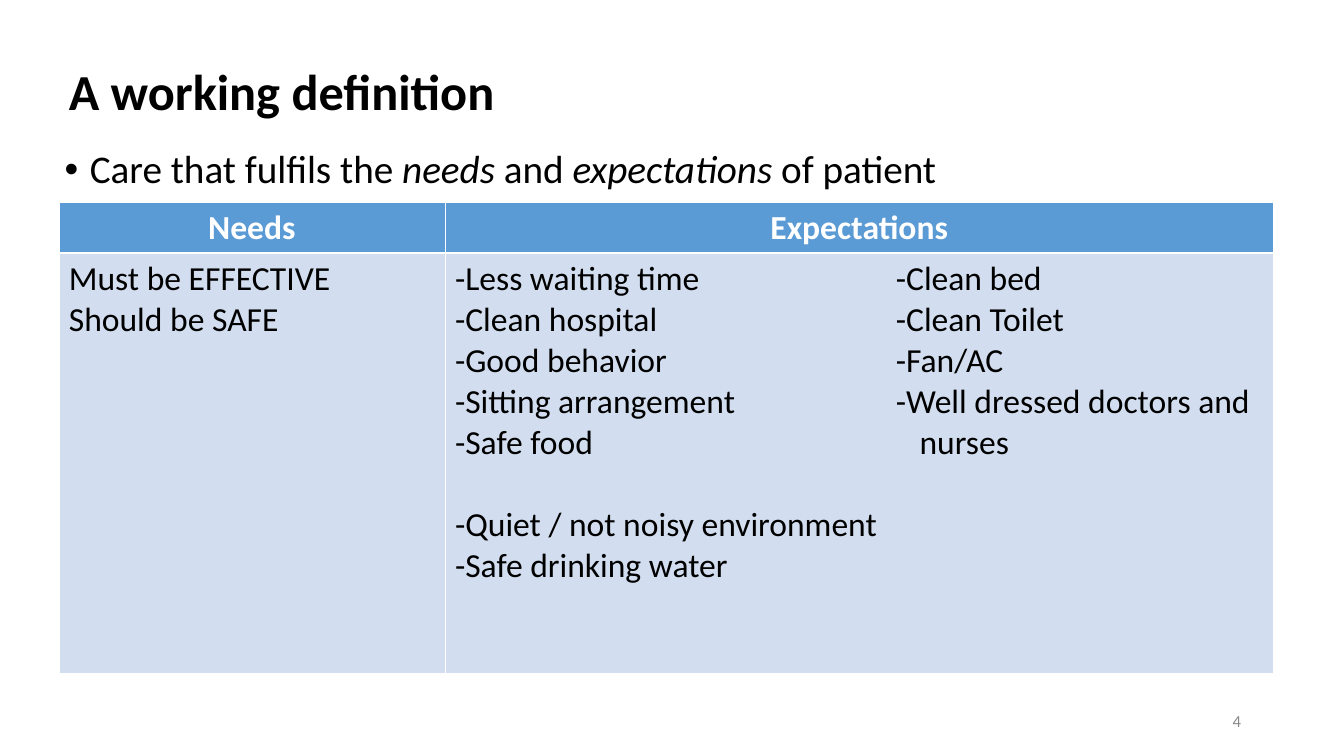
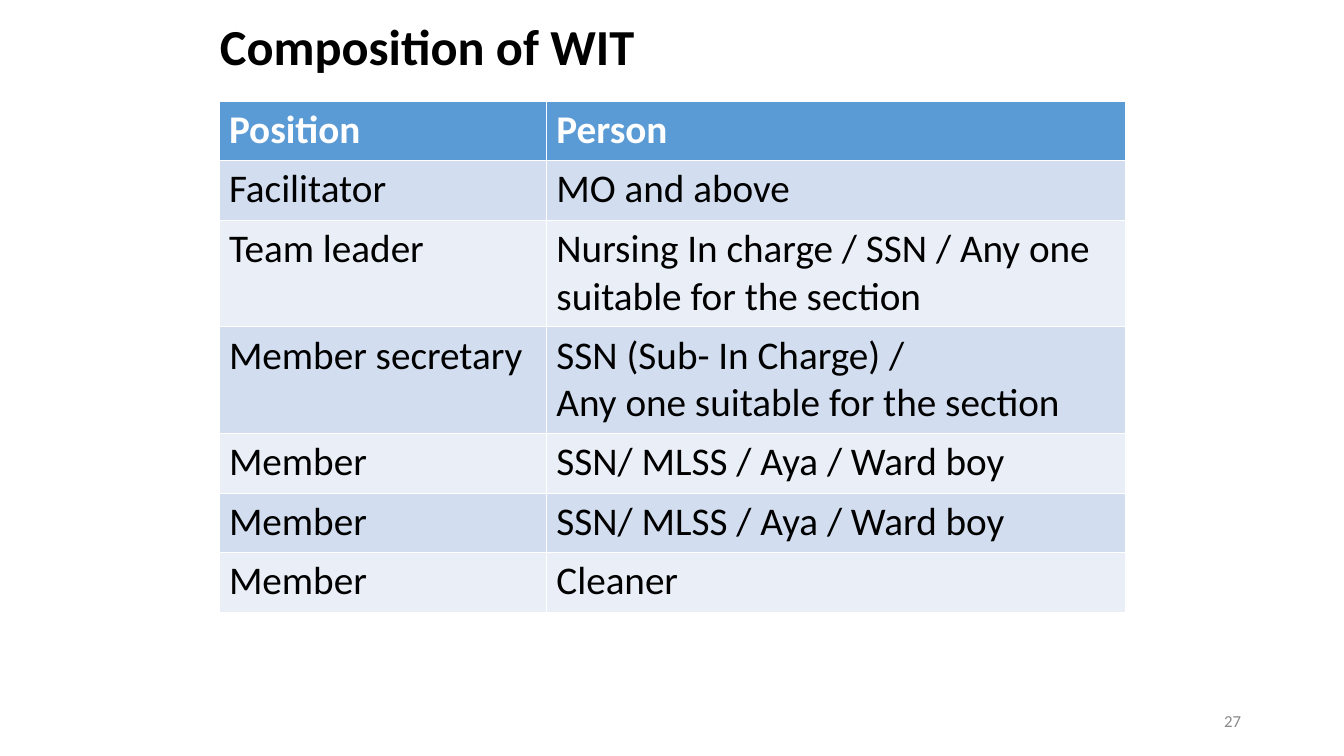
from dataclasses import dataclass

import lxml.etree
import pptx
import pptx.dml.color
import pptx.enum.text
import pptx.oxml.ns
import pptx.presentation
import pptx.shapes.base
import pptx.slide
import pptx.table
import pptx.text.text
import pptx.util

Pt = pptx.util.Pt
RGBColor = pptx.dml.color.RGBColor
Align = pptx.enum.text.PP_ALIGN
Anchor = pptx.enum.text.MSO_ANCHOR

# Shared look
BLACK = RGBColor(0x00, 0x00, 0x00)
WHITE = RGBColor(0xFF, 0xFF, 0xFF)
GREY = RGBColor(0x89, 0x89, 0x89)
HEADER_BLUE = RGBColor(0x5B, 0x9B, 0xD5)
BAND_FILLS = (RGBColor(0xD2, 0xDE, 0xEF), RGBColor(0xEA, 0xEF, 0xF7))
FONT = "Calibri"
THIN, THICK = 0.45, 1.47
BODY_LAYOUT, TITLE_ONLY_LAYOUT = 1, 5


@dataclass(frozen=True)
class Box:
    left: float
    top: float
    width: float
    height: float


@dataclass(frozen=True)
class Line:
    """One paragraph of a cell; a tab in the text jumps to the tab stop."""
    text: str
    tab_stop: float = 0
    space_before: float = 0


@dataclass(frozen=True)
class TableDesign:
    left: float
    top: float
    column_widths: tuple[float, ...]
    row_heights: tuple[float, ...]
    font_size: float
    header_alignment: Align


def add_run(paragraph: pptx.text.text._Paragraph, text: str, size: float,
            color: RGBColor = BLACK, bold: bool = False, italic: bool = False) -> None:
    run = paragraph.add_run()
    run.text = text
    run.font.name = FONT
    run.font.size = Pt(size)
    run.font.bold = bold
    run.font.italic = italic
    run.font.color.rgb = color


def place(shape: pptx.shapes.base.BaseShape, box: Box) -> None:
    shape.left, shape.top = Pt(box.left), Pt(box.top)
    shape.width, shape.height = Pt(box.width), Pt(box.height)


def add_slide(presentation: pptx.presentation.Presentation, layout_index: int,
              title: str, title_box: Box, number: str) -> pptx.slide.Slide:
    slide = presentation.slides.add_slide(presentation.slide_layouts[layout_index])

    # Title
    place(slide.shapes.title, title_box)
    frame = slide.shapes.title.text_frame
    frame.auto_size = pptx.enum.text.MSO_AUTO_SIZE.NONE
    frame.vertical_anchor = Anchor.MIDDLE
    paragraph = frame.paragraphs[0]
    paragraph.alignment = Align.LEFT
    paragraph.line_spacing = 0.9
    add_run(paragraph, title, 36, bold=True)

    # Page number
    number_box = slide.shapes.add_textbox(Pt(678), Pt(500.5), Pt(216), Pt(28.8))
    frame = number_box.text_frame
    frame.word_wrap = True
    frame.vertical_anchor = Anchor.MIDDLE
    frame.paragraphs[0].alignment = Align.RIGHT
    add_run(frame.paragraphs[0], number, 12, GREY)
    return slide


def add_bullet(slide: pptx.slide.Slide, box: Box,
               parts: list[tuple[str, bool]]) -> None:
    body = slide.placeholders[1]
    place(body, box)
    body.text_frame.auto_size = pptx.enum.text.MSO_AUTO_SIZE.NONE
    paragraph = body.text_frame.paragraphs[0]
    properties = paragraph._p.get_or_add_pPr()
    properties.set("marL", str(Pt(18)))
    properties.set("indent", str(Pt(-18)))
    paragraph.line_spacing = 0.9
    paragraph.space_before = Pt(0)
    for text, italic in parts:
        add_run(paragraph, text, 28, italic=italic)


def add_tab_stop(paragraph: pptx.text.text._Paragraph, position: float) -> None:
    tag = pptx.oxml.ns.qn
    stops = lxml.etree.SubElement(paragraph._p.get_or_add_pPr(), tag("a:tabLst"))
    lxml.etree.SubElement(stops, tag("a:tab"), pos=str(Pt(position)), algn="l")


def set_borders(cell: pptx.table._Cell, top: float, bottom: float) -> None:
    tag = pptx.oxml.ns.qn
    properties = cell._tc.get_or_add_tcPr()
    for side, width in (("L", THIN), ("R", THIN), ("T", top), ("B", bottom)):
        line = lxml.etree.SubElement(properties, tag(f"a:ln{side}"), w=str(Pt(width)))
        fill = lxml.etree.SubElement(line, tag("a:solidFill"))
        lxml.etree.SubElement(fill, tag("a:srgbClr"), val=str(WHITE))


def fill_cell(cell: pptx.table._Cell, lines: list[Line], row_index: int,
              design: TableDesign) -> None:
    is_header = row_index == 0
    set_borders(cell, THICK if row_index == 1 else THIN, THICK if is_header else THIN)
    cell.fill.solid()
    cell.fill.fore_color.rgb = HEADER_BLUE if is_header else BAND_FILLS[(row_index - 1) % 2]
    for index, line in enumerate(lines):
        frame = cell.text_frame
        paragraph = frame.add_paragraph() if index else frame.paragraphs[0]
        paragraph.alignment = design.header_alignment if is_header else Align.LEFT
        if line.space_before:
            paragraph.space_before = Pt(line.space_before)
        if line.tab_stop:
            add_tab_stop(paragraph, line.tab_stop)
        add_run(paragraph, line.text, design.font_size,
                WHITE if is_header else BLACK, bold=is_header)


def add_table(slide: pptx.slide.Slide, design: TableDesign,
              rows: list[list[list[Line]]]) -> None:
    table = slide.shapes.add_table(
        len(rows), len(design.column_widths), Pt(design.left), Pt(design.top),
        Pt(sum(design.column_widths)), Pt(sum(design.row_heights))).table
    table.horz_banding = False
    for column, width in zip(table.columns, design.column_widths):
        column.width = Pt(width)
    for row_index, (row, height) in enumerate(zip(table.rows, design.row_heights)):
        row.height = Pt(height)
        for cell, lines in zip(row.cells, rows[row_index]):
            fill_cell(cell, lines, row_index, design)


def add_definition_slide(presentation: pptx.presentation.Presentation) -> None:
    slide = add_slide(presentation, BODY_LAYOUT, "A working definition",
                      Box(42, 39.5, 872, 56), "4")
    add_bullet(slide, Box(39, 103.5, 876, 383), [
        ("Care that fulfils the ", False), ("needs", True), (" and ", False),
        ("expectations", True), (" of patient", False)])

    second_column = 315
    expectations = [
        Line("-Less waiting time\t-Clean bed", second_column),
        Line("-Clean hospital\t-Clean Toilet", second_column),
        Line("-Good behavior\t-Fan/AC", second_column),
        Line("-Sitting arrangement\t-Well dressed doctors and", second_column),
        Line("-Safe food\tnurses", second_column + 17),
        Line("-Quiet / not noisy environment", space_before=29.3),
        Line("-Safe drinking water"),
    ]
    needs = [Line("Must be EFFECTIVE"), Line("Should be SAFE")]
    design = TableDesign(42, 144.5, (276, 592), (36.5, 300), 24, Align.CENTER)
    add_table(slide, design, [[[Line("Needs")], [Line("Expectations")]],
                              [needs, expectations]])


def add_composition_slide(presentation: pptx.presentation.Presentation) -> None:
    slide = add_slide(presentation, TITLE_ONLY_LAYOUT, "Composition of WIT",
                      Box(150, 8.5, 648, 54), "27")
    members = [
        ("Position", "Person"),
        ("Facilitator", "MO and above"),
        ("Team leader", "Nursing In charge / SSN / Any one suitable for the section"),
        ("Member secretary", "SSN (Sub- In Charge) /\nAny one suitable for the section"),
        ("Member", "SSN/ MLSS / Aya / Ward boy"),
        ("Member", "SSN/ MLSS / Aya / Ward boy"),
        ("Member", "Cleaner"),
    ]
    single, double = 42.7, 76
    heights = (single, single, double, double, single, single, single)
    design = TableDesign(156.5, 72, (234, 414), heights, 28, Align.LEFT)
    add_table(slide, design, [[[Line(text) for text in cell.split("\n")] for cell in row]
                              for row in members])


def main() -> None:
    presentation = pptx.Presentation()
    presentation.slide_width, presentation.slide_height = Pt(960.5), Pt(540)
    add_definition_slide(presentation)
    add_composition_slide(presentation)
    presentation.save("out.pptx")


if __name__ == "__main__":
    main()
